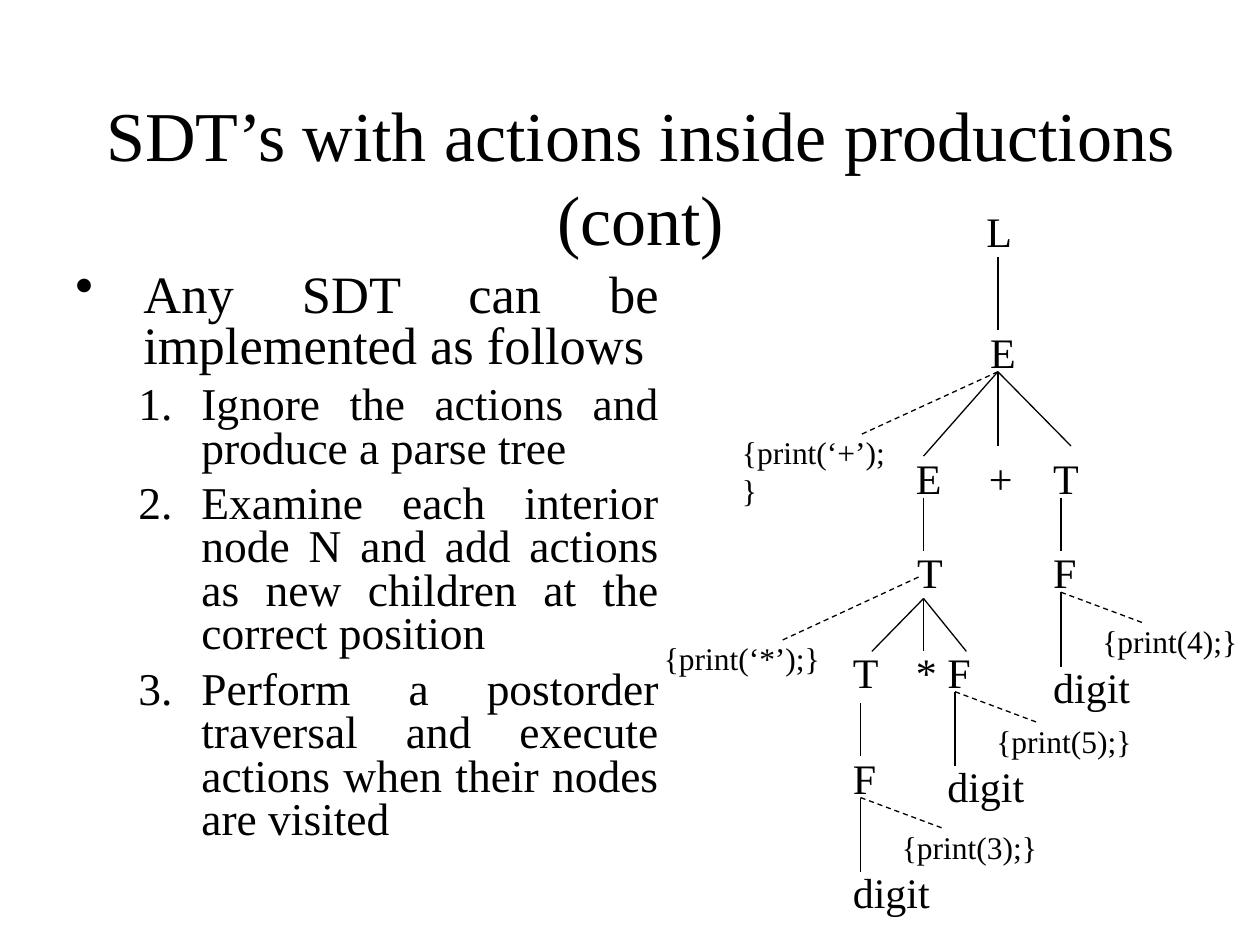
from dataclasses import dataclass

from lxml import etree
from pptx import Presentation
from pptx import util as u
from pptx.dml.color import RGBColor
from pptx.enum import dml, shapes, text
from pptx.oxml.ns import qn


@dataclass(frozen=True)
class Theme:
    font: str = "Times New Roman"
    ink: RGBColor = RGBColor(0, 0, 0)
    title: int = 40
    bullet: int = 30
    step: int = 26
    node: int = 24
    action: int = 18
    line: float = 0.75


THEME = Theme()
STEPS = (
    "Ignore the actions and produce a parse tree",
    "Examine each interior node N and add actions as new children at the correct position",
    "Perform a postorder traversal and execute actions when their nodes are visited",
)
NODE_HEIGHT = 0.5
ACTION_HEIGHT = 0.4


def write(paragraph, content, *, size, align=text.PP_ALIGN.LEFT, spacing=None, before=None):
    paragraph.alignment = align
    if spacing is not None:
        paragraph.line_spacing = spacing
    if before is not None:
        paragraph.space_before = u.Pt(before)
    run = paragraph.add_run()
    run.text = content
    run.font.name = THEME.font
    run.font.size = u.Pt(size)
    run.font.color.rgb = THEME.ink


def add_text_frame(slide, left, top, width, height, wrap=True):
    box = slide.shapes.add_textbox(*map(u.Inches, (left, top, width, height)))
    frame = box.text_frame
    frame.word_wrap = wrap
    return frame


def set_marker(paragraph, tag, margin, indent, **attributes):
    """Give a paragraph a hanging indent and a bullet or number."""
    properties = paragraph._p.get_or_add_pPr()
    properties.set("marL", str(u.Inches(margin)))
    properties.set("indent", str(u.Inches(-indent)))
    color = etree.SubElement(properties, qn("a:buClr"))
    etree.SubElement(color, qn("a:srgbClr"), val=str(THEME.ink))
    etree.SubElement(properties, qn(tag), **attributes)


def add_label(slide, content, left, top, width, height, size):
    frame = add_text_frame(slide, left, top, width, height, wrap=False)
    frame.auto_size = text.MSO_AUTO_SIZE.SHAPE_TO_FIT_TEXT
    write(frame.paragraphs[0], content, size=size)


def add_node(slide, content, left, top, width=0.4):
    add_label(slide, content, left, top, width, NODE_HEIGHT, THEME.node)


def add_action(slide, content, left, top, width):
    add_label(slide, content, left, top, width, ACTION_HEIGHT, THEME.action)


def add_branch(slide, start, end, dashed=False):
    branch = slide.shapes.add_connector(
        shapes.MSO_CONNECTOR.STRAIGHT, *map(u.Inches, (*start, *end)))
    branch.line.color.rgb = THEME.ink
    branch.line.width = u.Pt(THEME.line)
    if dashed:
        branch.line.dash_style = dml.MSO_LINE.DASH
    etree.SubElement(branch._element.spPr, qn("a:effectLst"))


def add_factor(slide, x, top, digit):
    """Draw an F node with its digit child and its print action."""
    fork = (x, top + 0.41)
    add_node(slide, "F", x - 0.16, top, 0.38)
    add_branch(slide, fork, (x, top + 1))
    add_node(slide, "digit", x - 0.16, top + 0.91, 0.81)
    add_branch(slide, fork, (x + 0.67, top + 0.66), dashed=True)
    add_action(slide, f"{{print({digit});}}", x + 0.23, top + 0.6, 1.27)


def add_title(slide):
    frame = add_text_frame(slide, 0.5, 0.77, 9.17, 1.25)
    frame.vertical_anchor = text.MSO_ANCHOR.MIDDLE
    write(frame.paragraphs[0], "SDT’s with actions inside productions (cont)",
          size=THEME.title, align=text.PP_ALIGN.CENTER)


def add_body(slide):
    frame = add_text_frame(slide, 0.5, 2.12, 4.83, 4.8)
    bullet = frame.paragraphs[0]
    write(bullet, "Any SDT can be implemented as follows", size=THEME.bullet,
          align=text.PP_ALIGN.JUSTIFY, spacing=0.8, before=7.5)
    set_marker(bullet, "a:buChar", 0.54, 0.54, char="•")
    for content in STEPS:
        step = frame.add_paragraph()
        step.level = 1
        write(step, content, size=THEME.step,
              align=text.PP_ALIGN.JUSTIFY, spacing=0.8, before=6.5)
        set_marker(step, "a:buAutoNum", 1, 0.5, type="arabicPeriod")


def add_parse_tree(slide):
    root_x, left_x, right_x = 7.92, 7.33, 8.42
    sum_fork, product_fork = (root_x, 2.95), (left_x, 4.75)

    for content, left, top in (
        ("L", 7.73, 1.58), ("E", 7.76, 2.54),
        ("E", 7.17, 3.54), ("+", 7.75, 3.54), ("T", 8.26, 3.54),
        ("T", 7.18, 4.29), ("T", 6.67, 5.08), ("*", 7.17, 5.08),
    ):
        add_node(slide, content, left, top, {"*": 0.36}.get(content, 0.4))

    add_branch(slide, (root_x, 2.04), (root_x, 2.62))
    for end in ((left_x, 3.62), (root_x, 3.54), (8.5, 3.54)):
        add_branch(slide, sum_fork, end)
    for end_x in (6.92, left_x, 7.67):
        add_branch(slide, product_fork, (end_x, 5.17))
    for x, top in ((left_x, 3.95), (right_x, 3.95), (6.83, 5.58)):
        add_branch(slide, (x, top), (x, top + 0.42))

    add_branch(slide, sum_fork, (6.83, 3.45), dashed=True)
    add_action(slide, "{print(‘+’);}", 5.79, 3.39, 1.45)
    add_branch(slide, (7.29, 4.58), (6.21, 5.08), dashed=True)
    add_action(slide, "{print(‘*’);}", 5.17, 5.02, 1.44)

    for x, top, digit in ((right_x, 4.29, 4), (7.58, 5.08, 5), (6.83, 5.92, 3)):
        add_factor(slide, x, top, digit)


def main():
    presentation = Presentation()
    presentation.slide_width = u.Inches(10)
    presentation.slide_height = u.Inches(7.5)
    slide = presentation.slides.add_slide(presentation.slide_layouts[6])
    add_title(slide)
    add_body(slide)
    add_parse_tree(slide)
    presentation.save("out.pptx")


if __name__ == "__main__":
    main()
